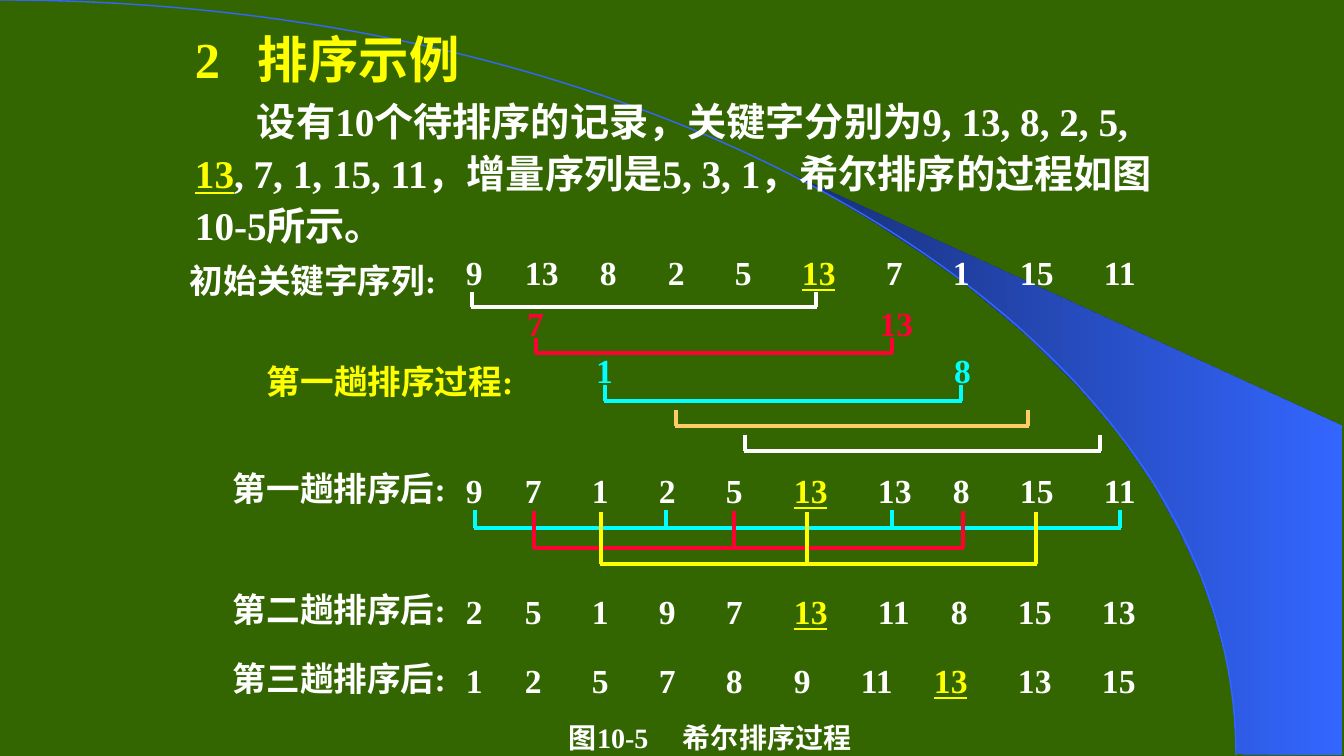
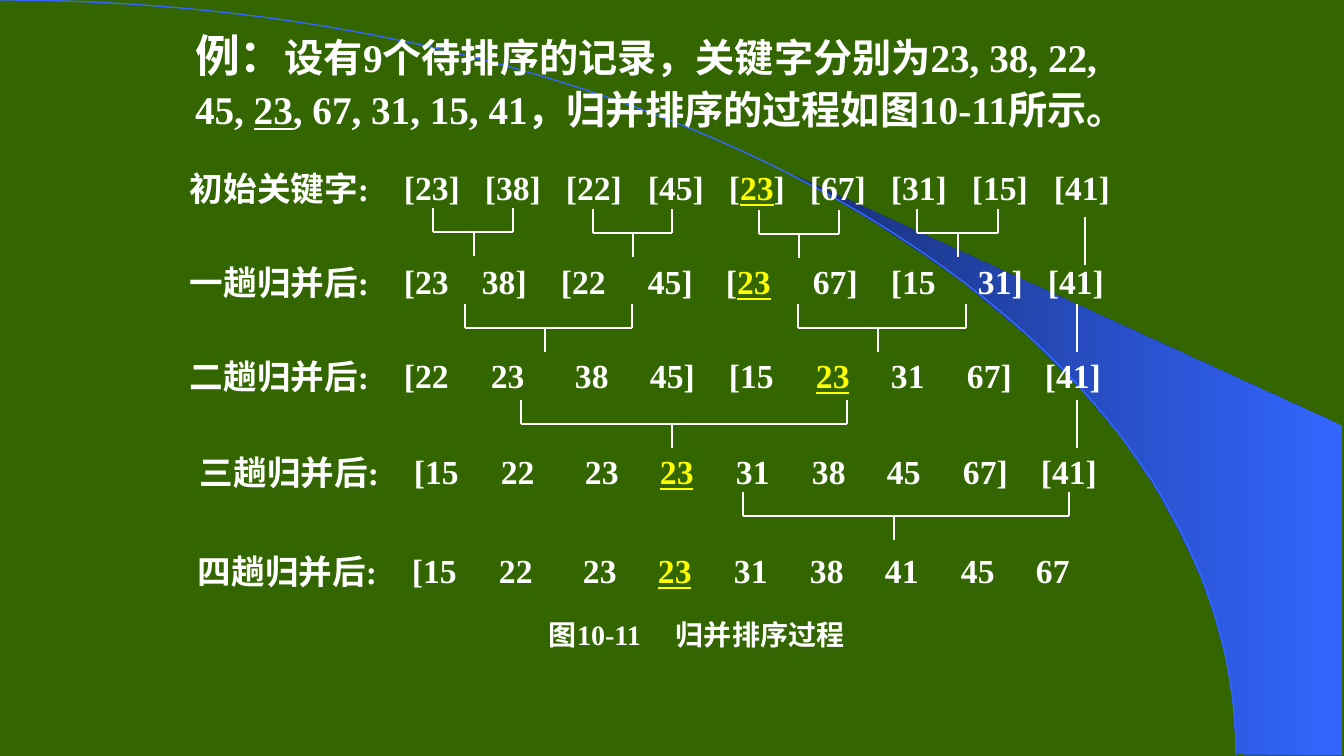
"""Build two slides that trace a Shell sort and a merge sort."""
from lxml.etree import SubElement
from pptx import Presentation
from pptx.dml.color import RGBColor as RGB
from pptx.enum.shapes import MSO_CONNECTOR as CONN
from pptx.enum.text import MSO_ANCHOR as ANCHOR, PP_ALIGN as ALIGN
from pptx.oxml.ns import qn
from pptx.util import Pt

PX = 914400 / 100.8
GREEN = RGB(0x33, 0x66, 0x00)
NAVY = RGB(0x18, 0x2F, 0x76)
BLUE = RGB(0x33, 0x66, 0xFF)
WHITE = RGB(0xFF, 0xFF, 0xFF)
YELLOW = RGB(0xFF, 0xFF, 0x00)
RED = RGB(0xFF, 0x00, 0x33)
CYAN = RGB(0x00, 0xFF, 0xFF)
ORANGE = RGB(0xFF, 0xCC, 0x66)
LATIN, ASIAN = "Times New Roman", "Noto Sans CJK SC"


def write(p, text, size=24, color=WHITE, tabs=(), mark=YELLOW):
    """Fill a paragraph; parts between underscores are underlined."""
    p.font.name, p.font.size, p.font.bold = LATIN, Pt(size), True
    p.font.color.rgb = color
    props = p._p.get_or_add_pPr()
    base = props.find(qn("a:defRPr"))
    SubElement(base, qn("a:ea"), typeface=ASIAN)
    if tabs:
        stops = SubElement(props, qn("a:tabLst"))
        base.addprevious(stops)
        for x in tabs:
            SubElement(stops, qn("a:tab"), pos=str(round(x * PX)), algn="l")
    for i, part in enumerate(text.split("_")):
        if part:
            r = p.add_run()
            r.text = part
            if i % 2:
                r.font.underline = True
                r.font.color.rgb = mark


def add_box(s, x, y, w, h, inset=10):
    """Add a text box centred vertically and return its text frame."""
    tf = s.shapes.add_textbox(*(round(v * PX) for v in (x, y, w, h))).text_frame
    tf.word_wrap = True
    tf.vertical_anchor = ANCHOR.MIDDLE
    tf.margin_left, tf.margin_right = round(inset * PX), 0
    return tf


prs = Presentation()
prs.slide_width, prs.slide_height = round(1344 * PX), round(756 * PX)
master = prs.slide_master
master.background.fill.solid()
master.background.fill.fore_color.rgb = GREEN
shell, merge = (prs.slides.add_slide(prs.slide_layouts[6]) for _ in range(2))

fb = shell.shapes.build_freeform(1237, 754, scale=PX)
fb.add_line_segments([
    (1342, 755), (1342, 426), (792, 174), (839, 201), (877, 224), (920, 252),
    (963, 282), (1024, 333), (1079, 387), (1119, 434), (1153, 483), (1180, 532),
    (1201, 577), (1214, 614), (1227, 661), (1233, 702)])
wedge = fb.convert_to_shape()
wedge.fill.gradient()
wedge.fill.gradient_angle = 0
for stop, color in zip(wedge.fill.gradient_stops, (NAVY, BLUE)):
    stop.color.rgb = color
wedge.line.fill.background()

fb = shell.shapes.build_freeform(0, 0, scale=PX)
fb.add_line_segments([(1236, 755)], close=False)
arc = fb.convert_to_shape()
arc.fill.background()
arc.line.color.rgb = BLUE
arc.line.width = Pt(1)
outline = arc._element.find(".//" + qn("a:path"))
outline.remove(outline.find(qn("a:lnTo")))
curve = SubElement(outline, qn("a:cubicBezTo"))
for x, y in ((683, 0), (1236, 338), (1236, 755)):
    SubElement(curve, qn("a:pt"), x=str(x), y=str(y))

for sp in (wedge, arc):
    sp.shadow.inherit = False
    master.shapes._spTree.append(sp._element)

lines = []

tf = add_box(shell, 185, 17, 983, 242)
tf.vertical_anchor, tf.margin_right = ANCHOR.TOP, round(10 * PX)
p = tf.paragraphs[0]
write(p, "2\t排序示例", 36, YELLOW, [63])
p.line_spacing, p.space_before = 1.1, Pt(4)
p = tf.add_paragraph()
write(p, "设有10个待排序的记录，关键字分别为9, 13, 8, 2, 5, _13_, 7, 1, 15, 11，"
         "增量序列是5, 3, 1，希尔排序的过程如图10-5所示。", 28)
p.line_spacing, p.space_before = 1.1, Pt(3)
p._p.get_or_add_pPr().set("indent", str(round(62 * PX)))

shell_rows = [
    (251, "9 13 8 2 5 _13_ 7 1 15 11", [59, 134, 202, 269, 336, 420, 487, 554, 638]),
    (469, "9 7 1 2 5 _13_ 13 8 15 11", [59, 126, 193, 260, 328, 412, 487, 554, 638]),
    (590, "2 5 1 9 7 _13_ 11 8 15 13", [59, 126, 193, 260, 328, 412, 485, 552, 636]),
    (659, "1 2 5 7 8 9 11 _13_ 13 15", [59, 126, 193, 260, 328, 395, 468, 552, 636]),
]
for y, keys, tabs in shell_rows:
    write(add_box(shell, 456, y, 690, 43).paragraphs[0], "\t".join(keys.split()), tabs=tabs)

shell_labels = [
    (180, 259, 270, 43, "初始关键字序列:", WHITE),
    (257, 360, 262, 43, "第一趟排序过程:", YELLOW),
    (223, 469, 230, 39, "第一趟排序后:", WHITE),
    (223, 590, 230, 39, "第二趟排序后:", WHITE),
    (223, 659, 230, 39, "第三趟排序后:", WHITE),
]
for x, y, w, h, label, color in shell_labels:
    write(add_box(shell, x, y, w, h).paragraphs[0], label, color=color)

for x, y, key, color in ((516, 304, "7", RED), (877, 304, "13", RED),
                         (585, 351, "1", CYAN), (943, 351, "8", CYAN)):
    p = add_box(shell, x, y, 39, 39, 0).paragraphs[0]
    write(p, key, color=color)
    p.alignment = ALIGN.CENTER

brackets = [
    (WHITE, 292, 307, [472, 816]),
    (RED, 338, 353, [536, 892]),
    (CYAN, 385, 401, [605, 961]),
    (ORANGE, 410, 426, [676, 1028]),
    (WHITE, 435, 451, [745, 1100]),
    (CYAN, 510, 528, [475, 666, 892, 1120]),
    (RED, 511, 548, [534, 734, 963]),
    (YELLOW, 512, 564, [601, 807, 1036]),
]
for color, top, y, xs in brackets:
    lines.append((shell, color, 2.25, xs[0] - 1, y, xs[-1] + 1, y))
    lines += [(shell, color, 2.25, x, top, x, y) for x in xs]

tf = add_box(merge, 185, 17, 972, 123)
tf.vertical_anchor, tf.margin_right = ANCHOR.TOP, round(10 * PX)
p = tf.paragraphs[0]
r = p.add_run()
r.text = "例："
r.font.size = Pt(32)
write(p, "设有9个待排序的记录，关键字分别为23, 38, 22, 45, _23_, 67, 31, 15, 41，"
         "归并排序的过程如图10-11所示。", 28, mark=WHITE)
p.line_spacing, p.space_before = 1.1, Pt(6)

merge_rows = [
    (394, 166, "初始关键字:", "[23] [38] [22] [45] [_23_] [67] [31] [15] [41]",
     [81, 162, 244, 325, 406, 487, 568, 650]),
    (394, 260, "一趟归并后:", "[23 38] [22 45] [_23_ 67] [15 31] [41]",
     [78, 157, 244, 322, 409, 487, 574, 644]),
    (394, 354, "二趟归并后:", "[22 23 38 45] [15 _23_ 31 67] [41]",
     [87, 171, 246, 325, 412, 487, 563, 641]),
    (404, 450, "三趟归并后:", "[15 22 23 _23_ 31 38 45 67] [41]",
     [87, 171, 246, 322, 398, 473, 549, 627]),
    (402, 549, "四趟归并后:", "[15 22 23 _23_ 31 38 41 45 67",
     [87, 171, 246, 322, 398, 473, 549, 624]),
]
for x, y, label, keys, tabs in merge_rows:
    write(add_box(merge, x - 214, y + 1, 199, 43).paragraphs[0], label)
    write(add_box(merge, x, y, 721, 43).paragraphs[0], "\t".join(keys.split()), tabs=tabs)

joins = [
    (232, 433, 513, 474), (233, 593, 672, 633), (234, 759, 839, 799), (233, 917, 998, 958),
    (328, 465, 632, 545), (328, 798, 966, 878), (424, 521, 847, 672), (516, 743, 1069, 894),
]
for y, left, right, stem in joins:
    lines.append((merge, WHITE, 1.5, left, y, right, y))
    lines += [(merge, WHITE, 1.5, x, y - 24, x, y) for x in (left, right)]
    lines.append((merge, WHITE, 1.5, stem, y, stem, y + 24))
for x, y in ((1085, 217), (1077, 304), (1077, 400)):
    lines.append((merge, WHITE, 1.5, x, y, x, y + 48))

for s, color, width, *ends in lines:
    c = s.shapes.add_connector(CONN.STRAIGHT, *(round(v * PX) for v in ends))
    c.line.color.rgb = color
    c.line.width = Pt(width)
    SubElement(c._element.spPr, qn("a:effectLst"))

for s, x, y, w, caption, tab in ((shell, 559, 716, 300, "图10-5\t希尔排序过程", 114),
                                 (merge, 539, 613, 310, "图10-11\t归并排序过程", 127)):
    write(add_box(s, x, y, w, 43).paragraphs[0], caption, 20, tabs=[tab])

prs.save("out.pptx")
